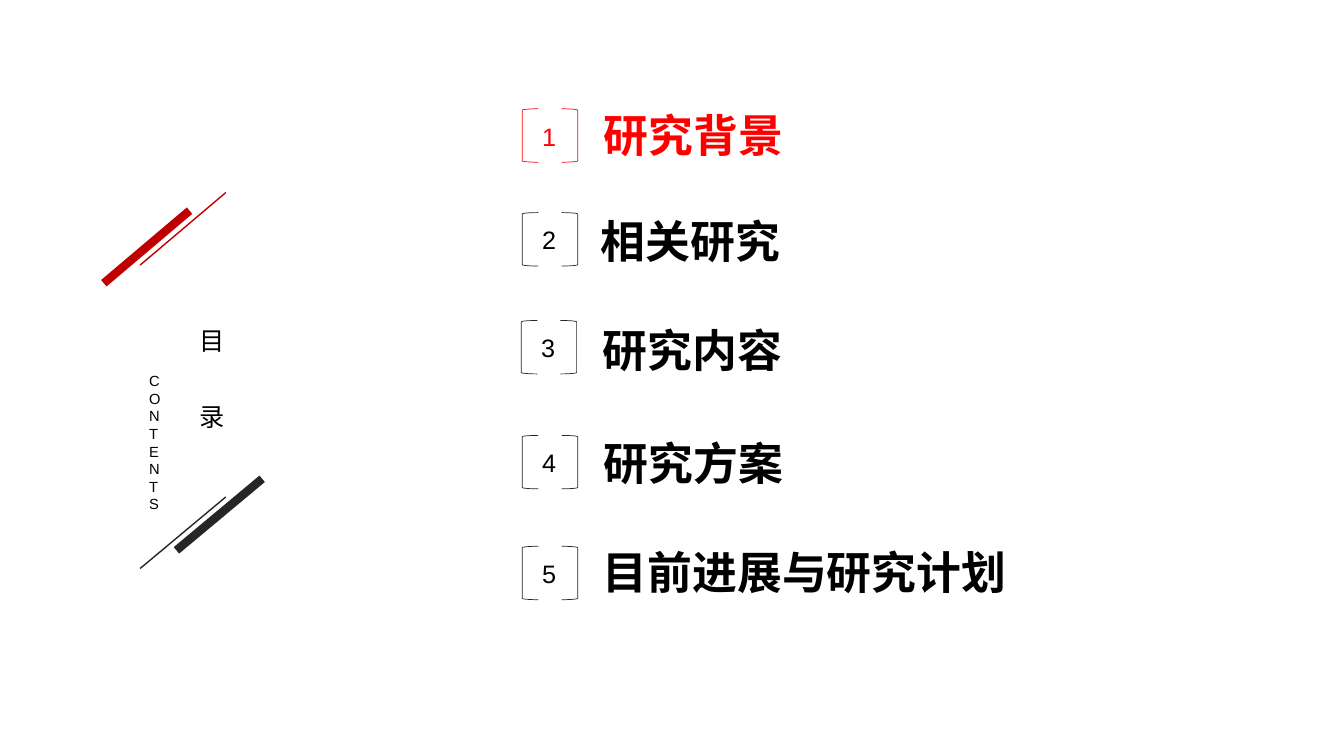
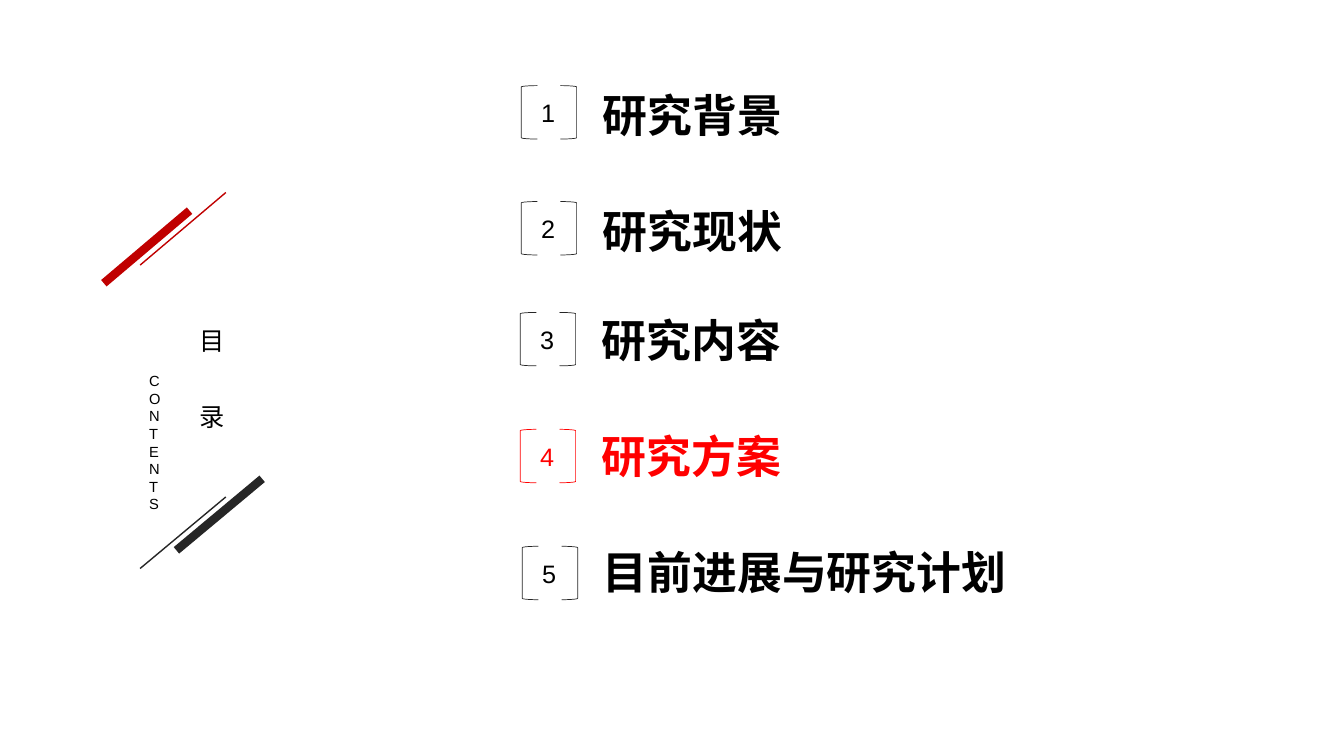
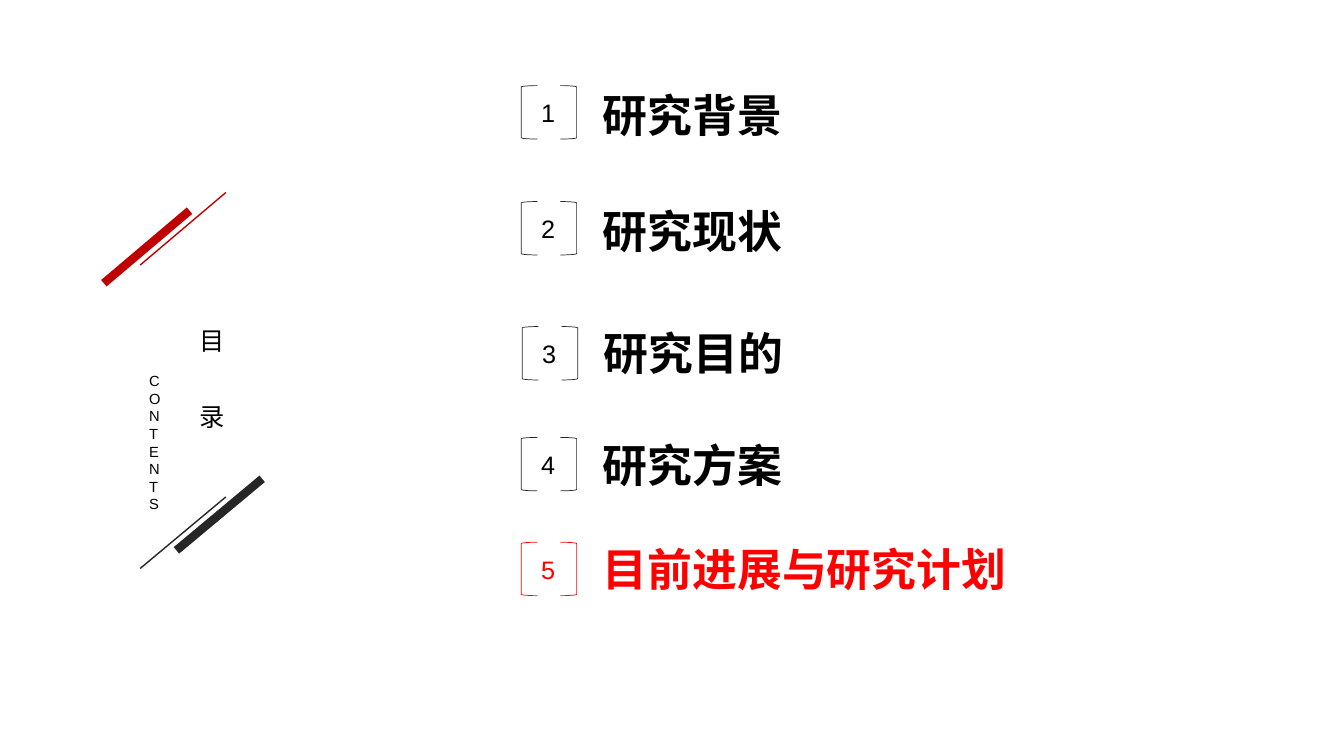
import dataclasses
import typing

import lxml.etree
import pptx
import pptx.dml.color
import pptx.enum.lang
import pptx.enum.shapes
import pptx.enum.text
import pptx.oxml.ns
import pptx.util

Inches = pptx.util.Inches
Pt = pptx.util.Pt

FONT = "Arial"
BLACK = "000000"
DARK = "262626"
CRIMSON = "C00000"
RED = "FF0000"


@dataclasses.dataclass(frozen=True)
class Stroke:
    start: tuple[float, float]
    end: tuple[float, float]
    tint: str
    weight: float


@dataclasses.dataclass(frozen=True)
class Topic:
    text: str
    left: float
    top: float
    shift: float = 0.71
    lift: float = 0.03
    width: float = 2


@dataclasses.dataclass(frozen=True)
class Page:
    topics: tuple[Topic, ...]
    active: int


STROKES = (
    Stroke((1.88, 2.09), (1.03, 2.81), CRIMSON, 6),
    Stroke((2.24, 1.91), (1.39, 2.63), CRIMSON, 1),
    Stroke((1.75, 5.46), (2.6, 4.75), DARK, 6),
    Stroke((1.39, 5.64), (2.24, 4.93), DARK, 1),
)

STATUS = Topic("研究现状", 5.17, 2)
INTRO = Topic("研究背景", 5.17, 0.85)
PLAN = Topic("目前进展与研究计划", 5.18, 5.42, shift=0.7, lift=0.06, width=4.24)

PAGES = (
    Page((
        Topic("研究背景", 5.18, 1.08, lift=0.06),
        Topic("相关研究", 5.18, 2.11, shift=0.68, lift=0.04),
        Topic("研究内容", 5.17, 3.18),
        Topic("研究方案", 5.18, 4.32, lift=0.05),
        PLAN,
    ), 1),
    Page((
        INTRO,
        STATUS,
        Topic("研究内容", 5.16, 3.1, lift=0.05),
        Topic("研究方案", 5.16, 4.26, lift=0.06),
        PLAN,
    ), 4),
    Page((
        INTRO,
        STATUS,
        Topic("研究目的", 5.18, 3.24, lift=0.06),
        Topic("研究方案", 5.17, 4.34, lift=0.05),
        Topic("目前进展与研究计划", 5.17, 5.38, lift=0.05, width=4.24),
    ), 5),
)


def paint(target: typing.Any, tint: str) -> None:
    target.rgb = pptx.dml.color.RGBColor.from_string(tint)


def write(slide: typing.Any, lines: typing.Sequence[str], left: float, top: float,
          width: float, height: float, size: float, tint: str = BLACK,
          bold: bool = False, wrap: bool = False, space: float = 1) -> None:
    box = slide.shapes.add_textbox(Inches(left), Inches(top), Inches(width), Inches(height))
    frame = box.text_frame
    frame.word_wrap = wrap
    frame.auto_size = pptx.enum.text.MSO_AUTO_SIZE.SHAPE_TO_FIT_TEXT
    for index, line in enumerate(lines):
        para = frame.add_paragraph() if index else frame.paragraphs[0]
        para.line_spacing = space
        run = para.add_run()
        run.text = line
        run.font.name = FONT
        run.font.size = Pt(size)
        run.font.bold = bold
        run.font.language_id = pptx.enum.lang.MSO_LANGUAGE_ID.SIMPLIFIED_CHINESE
        paint(run.font.color, tint)


def draw_stroke(slide: typing.Any, stroke: Stroke) -> None:
    ends = [Inches(value) for value in stroke.start + stroke.end]
    line = slide.shapes.add_connector(pptx.enum.shapes.MSO_CONNECTOR.STRAIGHT, *ends)
    line.line.width = Pt(stroke.weight)
    paint(line.line.color, stroke.tint)
    lxml.etree.SubElement(line._element.spPr, pptx.oxml.ns.qn("a:effectLst"))


def draw_bracket(slide: typing.Any, left: float, top: float, tint: str, flip: bool) -> None:
    shape = slide.shapes.add_shape(
        pptx.enum.shapes.MSO_SHAPE.LEFT_BRACKET,
        Inches(left), Inches(top), Inches(0.16), Inches(0.53))
    shape.shadow.inherit = False
    shape.fill.background()
    shape.line.width = Pt(0.5)
    paint(shape.line.color, tint)
    if flip:
        shape._element.spPr.xfrm.set("flipH", "1")


def draw_topic(slide: typing.Any, topic: Topic, number: int, active: bool) -> None:
    ink, edge = (RED, RED) if active else (BLACK, DARK)
    left, top = topic.left, topic.top
    write(slide, [str(number)], left + 0.1, top + 0.07, 0.34, 0.4, 18, ink)
    draw_bracket(slide, left, top, edge, False)
    draw_bracket(slide, left + 0.39, top, edge, True)
    write(slide, [topic.text], left + topic.shift, top - topic.lift,
          topic.width, 0.64, 32, ink, bold=True)


def draw_side(slide: typing.Any) -> None:
    for stroke in STROKES:
        draw_stroke(slide, stroke)
    write(slide, ["目", "录"], 1.88, 2.73, 0.45, 1.49, 18, space=2.5)
    write(slide, ["CONTENTS"], 1.38, 3.64, 0.25, 1.45, 10.5, wrap=True)


def main() -> None:
    deck = pptx.Presentation()
    deck.slide_width = Inches(13.33)
    deck.slide_height = Inches(7.5)
    for page in PAGES:
        slide = deck.slides.add_slide(deck.slide_layouts[6])
        draw_side(slide)
        for number, topic in enumerate(page.topics, 1):
            draw_topic(slide, topic, number, number == page.active)
    deck.save("out.pptx")


if __name__ == "__main__":
    main()
